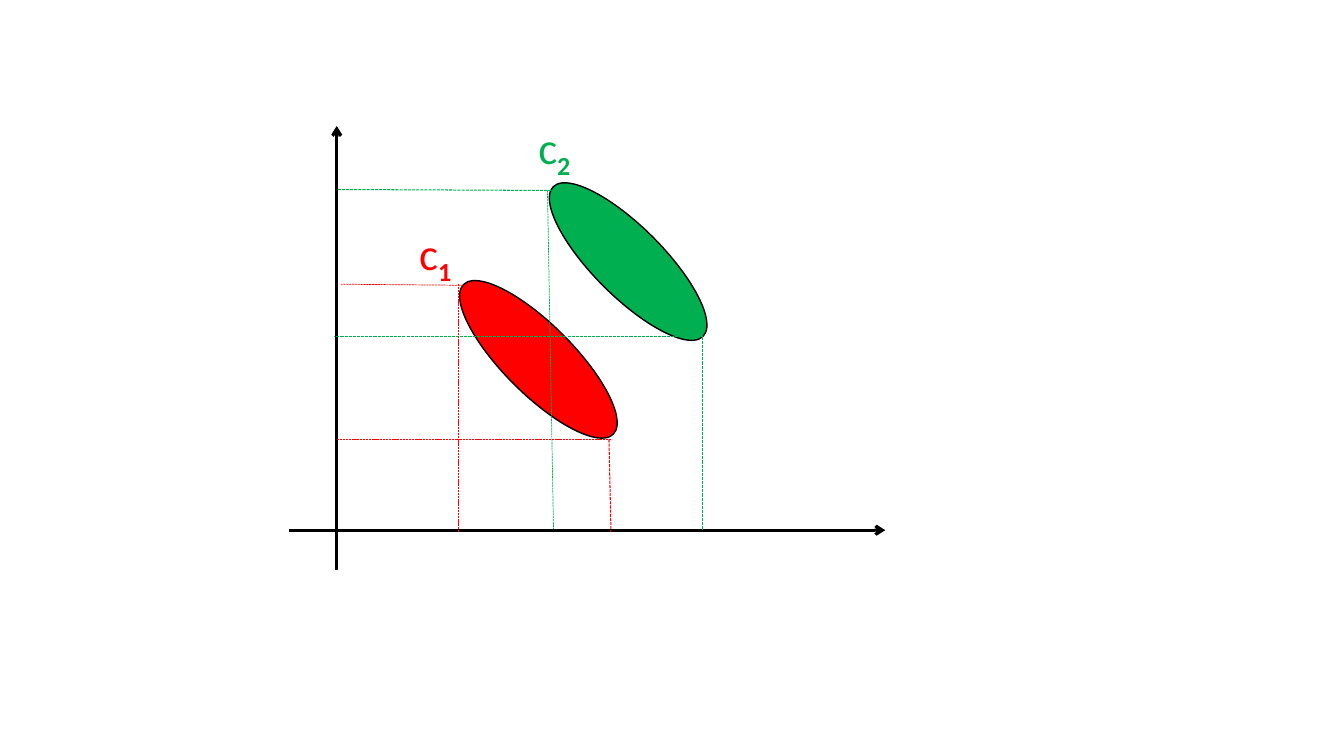
from lxml.etree import SubElement
from pptx import Presentation
from pptx.dml.color import RGBColor
from pptx.enum.dml import MSO_LINE_DASH_STYLE as Dash
from pptx.enum.shapes import MSO_CONNECTOR as Connector, MSO_SHAPE as Shape
from pptx.enum.text import MSO_AUTO_SIZE as AutoSize
from pptx.oxml.ns import qn
from pptx.util import Inches, Pt

BLACK = RGBColor(0x00, 0x00, 0x00)
RED = RGBColor(0xFF, 0x00, 0x00)
GREEN = RGBColor(0x00, 0xB0, 0x50)

deck = Presentation()
deck.slide_width = Inches(13.33)
deck.slide_height = Inches(7.5)
page = deck.slides.add_slide(deck.slide_layouts[6])
COLUMN = deck.slide_width // 1333
ROW = deck.slide_height // 750


def add_line(start, end, color, weight, dashed=False):
    line = page.shapes.add_connector(
        Connector.STRAIGHT,
        start[0] * COLUMN, start[1] * ROW, end[0] * COLUMN, end[1] * ROW)
    line.line.color.rgb = color
    line.line.width = Pt(weight)
    if dashed:
        line.line.dash_style = Dash.SQUARE_DOT
    else:
        SubElement(line.line._get_or_add_ln(), qn("a:tailEnd"), type="arrow")
    SubElement(line._element.spPr, qn("a:effectLst"))


AXES = [((287, 526), (878, 526)), ((334, 565), (334, 125))]
CLUSTERS = [(429, 322, RED), (518, 225, GREEN)]
GUIDES = [
    ((555, 189), (334, 188), GREEN, 0.75),
    ((543, 189), (549, 525), GREEN, 0.5),
    ((697, 334), (331, 334), GREEN, 0.75),
    ((697, 334), (697, 526), GREEN, 0.75),
    ((459, 283), (338, 282), RED, 0.5),
    ((455, 282), (455, 528), RED, 0.5),
    ((606, 436), (334, 436), RED, 0.5),
    ((604, 436), (606, 528), RED, 0.75),
]
LABELS = [(406, 219, 76, "1", RED), (524, 114, 101, "2", GREEN)]

for start, end in AXES:
    add_line(start, end, BLACK, 2.25)

for left, top, color in CLUSTERS:
    cluster = page.shapes.add_shape(
        Shape.OVAL, left * COLUMN, top * ROW, 210 * COLUMN, 69 * ROW)
    cluster.rotation = 45
    cluster.shadow.inherit = False
    cluster.fill.solid()
    cluster.fill.fore_color.rgb = color
    cluster.line.color.rgb = BLACK
    cluster.line.width = Pt(1)

for start, end, color, weight in GUIDES:
    add_line(start, end, color, weight, dashed=True)

for left, top, width, index, color in LABELS:
    box = page.shapes.add_textbox(
        left * COLUMN, top * ROW, width * COLUMN, 64 * ROW)
    box.text_frame.word_wrap = True
    box.text_frame.auto_size = AutoSize.SHAPE_TO_FIT_TEXT
    para = box.text_frame.paragraphs[0]
    for text, subscript in (("c", False), (index, True)):
        span = para.add_run()
        span.text = text
        span.font.name = "Calibri"
        span.font.size = Pt(32)
        span.font.color.rgb = color
        if subscript:
            span.font.bold = True
            span.font._element.set("baseline", "-25000")

deck.save("out.pptx")
